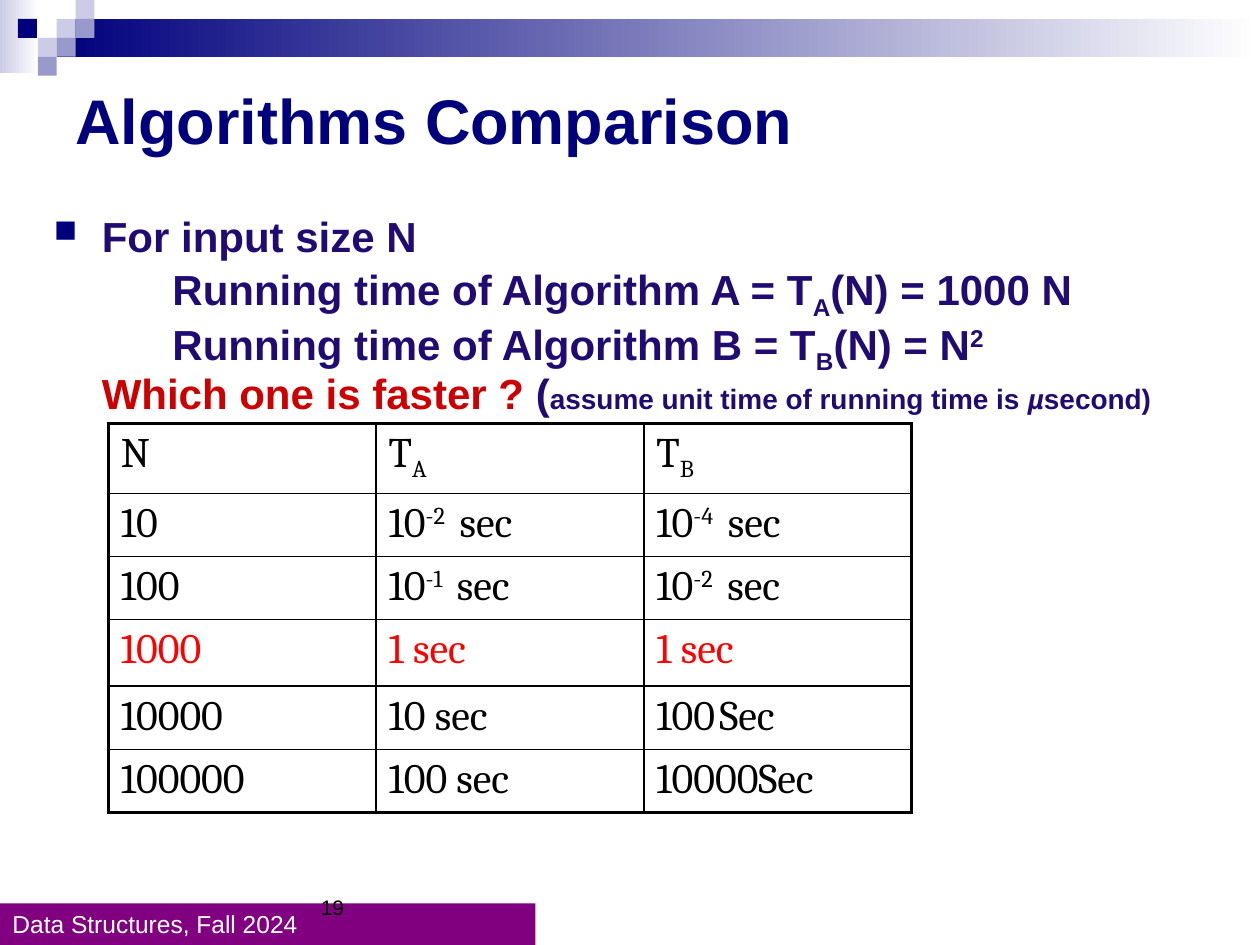
from dataclasses import dataclass

from lxml import etree
from pptx import Presentation, util as u
from pptx.dml.color import RGBColor
from pptx.enum import shapes, text
from pptx.oxml import ns

UNIT = 0.1  # inches per grid column and row
COLUMNS, ROWS = 100, 75


@dataclass(frozen=True)
class Theme:
    font: str = "Arial"
    table_font: str = "Cambria"
    navy: str = "00007D"
    ink: str = "210B73"
    lilac: str = "CCCCE6"
    violet: str = "9999CC"
    purple: str = "800080"
    question: str = "CC0000"
    tie: str = "FF0000"
    black: str = "000000"
    white: str = "FFFFFF"
    title_size: int = 36
    body_size: int = 24
    note_size: int = 16
    footer_size: int = 14
    number_size: int = 12
    outer_line: float = 2.25
    inner_line: float = 1


def grid(*units):
    return [u.Inches(n * UNIT) for n in units]


def child(parent, tag, **attributes):
    element = etree.SubElement(parent, ns.qn(tag))
    for key, value in attributes.items():
        element.set(key, str(value))
    return element


def write(paragraph, words, font, size, color, bold=False, italic=False, baseline=0):
    run = paragraph.add_run()
    run.text = words
    run.font.name, run.font.size = font, u.Pt(size)
    run.font.bold, run.font.italic = bold, italic
    run.font.color.rgb = RGBColor.from_string(color)
    if baseline:
        run.font._element.set("baseline", str(baseline * 1000))


def sub(words):
    return words, {"baseline": -25}


def sup(words):
    return words, {"baseline": 30}


class SlideBuilder:
    def __init__(self, slide, theme):
        self.slide, self.theme = slide, theme

    def fill_paragraph(self, paragraph, pieces, **style):
        """Pieces are plain strings or (string, format changes) pairs."""
        for piece in [pieces] if isinstance(pieces, str) else pieces:
            words, changes = (piece, {}) if isinstance(piece, str) else piece
            write(paragraph, words, **{**style, **changes})

    def indent(self, paragraph, left, hanging=0):
        properties = paragraph._p.get_or_add_pPr()
        properties.set("marL", str(u.Inches(left)))
        properties.set("indent", str(-u.Inches(hanging)))
        return properties

    def block(self, box, fill, fade_to=None):
        shape = self.slide.shapes.add_shape(shapes.MSO_SHAPE.RECTANGLE, *grid(*box))
        shape.shadow.inherit = False
        shape.line.fill.background()
        if fade_to:
            shape.fill.gradient()
            shape.fill.gradient_angle = 0
            for stop, color in zip(shape.fill.gradient_stops, (fill, fade_to)):
                stop.color.rgb = RGBColor.from_string(color)
        else:
            shape.fill.solid()
            shape.fill.fore_color.rgb = RGBColor.from_string(fill)
        return shape

    def text_box(self, box, anchor=text.MSO_ANCHOR.TOP):
        frame = self.slide.shapes.add_textbox(*grid(*box)).text_frame
        frame.word_wrap = True
        frame.vertical_anchor = anchor
        return frame

    def body(self, box, lines):
        frame = self.text_box(box)
        for index, (left, bullet, pieces) in enumerate(lines):
            paragraph = frame.add_paragraph() if index else frame.paragraphs[0]
            properties = self.indent(paragraph, left, left if bullet else 0)
            if bullet:
                child(child(properties, "a:buClr"), "a:srgbClr", val=self.theme.navy)
                child(properties, "a:buSzPct", val=75000)
                child(properties, "a:buChar", char=bullet)
            paragraph.line_spacing = 0.8
            if index:
                paragraph.space_before = u.Pt(0.2 * self.theme.body_size)
            self.fill_paragraph(paragraph, pieces, font=self.theme.font,
                                size=self.theme.body_size, color=self.theme.ink, bold=True)

    def borders(self, cell, outer_sides):
        properties = cell._tc.get_or_add_tcPr()
        for index, side in enumerate("LRTB"):
            width = self.theme.outer_line if side in outer_sides else self.theme.inner_line
            line = child(properties, f"a:ln{side}", w=u.Pt(width))
            child(child(line, "a:solidFill"), "a:srgbClr", val=self.theme.black)
            properties.insert(index, line)

    def table(self, left, top, column_width, row_heights, rows, highlight):
        count = len(rows[0])
        table = self.slide.shapes.add_table(
            len(rows), count,
            *grid(left, top, column_width * count, sum(row_heights))).table
        table.first_row = table.horz_banding = False
        for column in table.columns:
            column.width = grid(column_width)[0]
        for r, (values, height) in enumerate(zip(rows, row_heights)):
            table.rows[r].height = grid(height)[0]
            for c, value in enumerate(values):
                cell = table.cell(r, c)
                edges = {"L": c == 0, "R": c == count - 1,
                         "T": r == 0, "B": r == len(rows) - 1}
                self.borders(cell, [side for side, outer in edges.items() if outer])
                cell.fill.background()
                paragraph = cell.text_frame.paragraphs[0]
                if isinstance(value, dict):  # automatically numbered cell
                    properties = self.indent(paragraph, 0.5, 0.5)
                    child(properties, "a:buFont", typeface=self.theme.table_font)
                    child(properties, "a:buAutoNum", type="arabicPlain", startAt=value["start"])
                    value = value["words"]
                self.fill_paragraph(
                    paragraph, value, font=self.theme.table_font, size=self.theme.body_size,
                    color=self.theme.tie if r == highlight else self.theme.black)


def main():
    deck = Presentation()
    deck.slide_width, deck.slide_height = grid(COLUMNS, ROWS)
    theme = Theme()
    page = SlideBuilder(deck.slides.add_slide(deck.slide_layouts[6]), theme)

    # Header band and mosaic
    tile = 1.5
    page.block((0, 0, 3.1, 5.8), theme.lilac, fade_to=theme.white)
    page.block((3 * tile, tile, COLUMNS - 3 * tile, 2 * tile), theme.navy, fade_to=theme.white)
    mosaic = [(3, 1, theme.lilac), (4, 0, theme.lilac), (4, 1, theme.violet),
              (2, 2, theme.lilac), (0.95, 1, theme.navy), (3, 2, theme.violet),
              (2, 3, theme.violet)]
    for column, row, color in mosaic:
        page.block((column * tile, row * tile, tile, tile), color)

    # Footer and page number
    footer = page.block((0, 71.7, 42.5, 3.3), theme.purple).text_frame
    footer.vertical_anchor = text.MSO_ANCHOR.MIDDLE
    footer.paragraphs[0].alignment = text.PP_ALIGN.LEFT
    page.fill_paragraph(footer.paragraphs[0], "Data Structures, Fall 2024",
                        font=theme.font, size=theme.footer_size, color=theme.white)
    number = page.text_box((5, 68.3, 23.3, 5.2), text.MSO_ANCHOR.BOTTOM).paragraphs[0]
    number.alignment = text.PP_ALIGN.RIGHT
    page.fill_paragraph(number, "19", font=theme.font, size=theme.number_size, color=theme.black)

    # Title
    title = page.text_box((5, 5, 90, 8.9), text.MSO_ANCHOR.MIDDLE).paragraphs[0]
    page.fill_paragraph(title, "Algorithms Comparison", font=theme.font,
                        size=theme.title_size, color=theme.navy, bold=True)

    # Question
    note = {"size": theme.note_size}
    page.body((3.3, 17, 94.2, 46.4), [
        (0.38, "■", "For input size N"),
        (0.94, None, ["Running time of Algorithm A = T", sub("A"), "(N) = 1000 N"]),
        (0.94, None, ["Running time of Algorithm B = T", sub("B"), "(N) = N", sup("2")]),
        (0.38, None, [("Which one is faster ? ", {"color": theme.question}), "(",
                      ("assume unit time of running time is", note),
                      (" µ", {**note, "italic": True}), ("second)", note)]),
    ])

    # Running times
    page.table(8.6, 33.6, 21.25, [5.3, 4.8, 4.8, 5.3, 4.8, 4.8], [
        ["N", ["T", sub("A")], ["T", sub("B")]],
        ["10", ["10", sup("-2 "), " sec"], ["10", sup("-4 "), " sec"]],
        ["100", ["10", sup("-1 "), " sec"], ["10", sup("-2 "), " sec"]],
        ["1000", "1 sec", "1 sec"],
        ["10000", "10 sec", {"start": 100, "words": "Sec"}],
        ["100000", "100 sec", {"start": 10000, "words": "Sec"}],
    ], highlight=3)

    deck.save("out.pptx")


if __name__ == "__main__":
    main()
